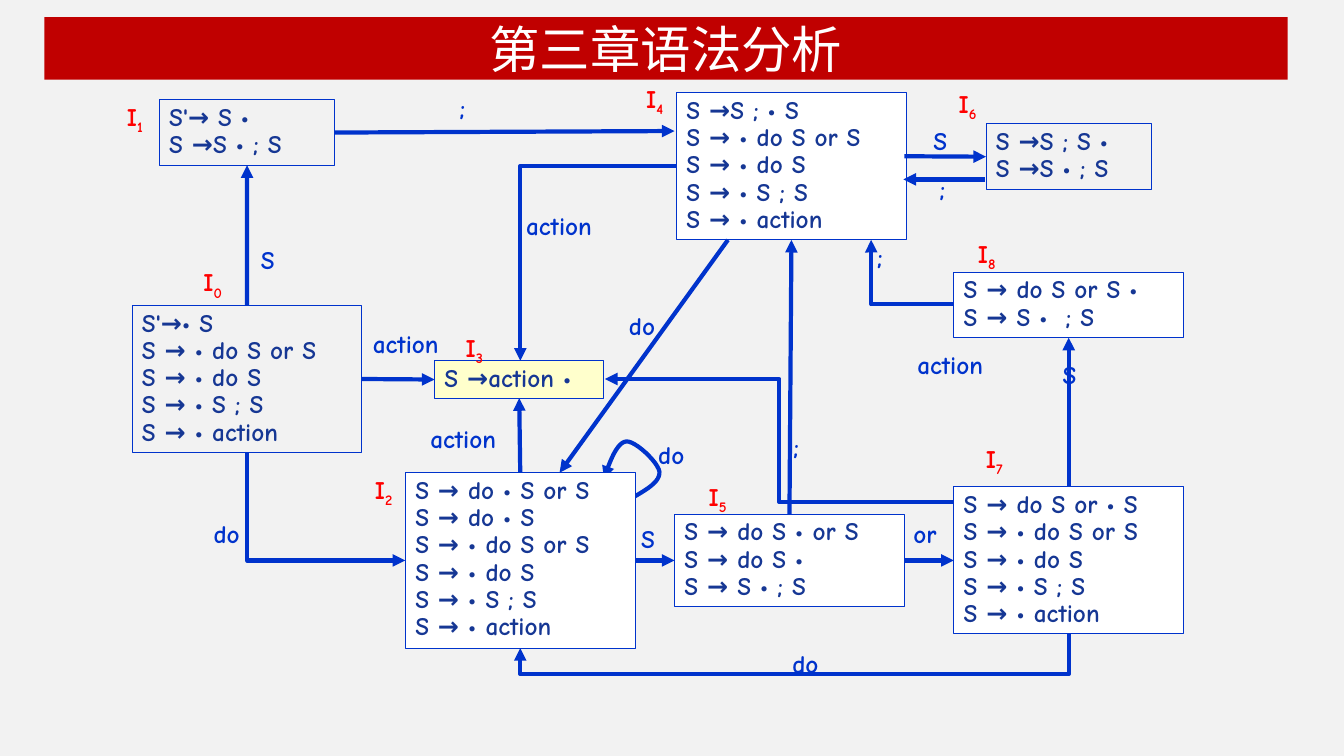
"""Builds the slide with the LR(0) automaton of the do/or grammar."""
from dataclasses import dataclass

from lxml.etree import SubElement
from pptx import Presentation
from pptx.dml.color import RGBColor as Rgb
from pptx.enum.shapes import MSO_CONNECTOR as Link, MSO_SHAPE as Preset
from pptx.enum.text import MSO_ANCHOR as Anchor, MSO_AUTO_SIZE as Fit, PP_ALIGN as Align
from pptx.oxml.ns import qn
from pptx.util import Inches, Pt

TOP, LEFT, BOTTOM, RIGHT = range(4)


@dataclass(frozen=True)
class Theme:
    backdrop: str = "F2F2F2"
    banner: str = "C00000"
    white: str = "FFFFFF"
    final: str = "FFFFCC"
    arrow: str = "0033CC"
    item: str = "163794"
    state: str = "FF0000"
    title_font: str = "Noto Sans CJK SC"
    body_font: str = "Comic Neue"
    title_size: int = 36
    body_size: int = 18
    arrow_width: float = 3
    border_width: float = 0.75
    line_spacing: float = 0.9


CLOSURE = ["S → • do S or S", "S → • do S", "S → • S ; S", "S → • action"]

STATES = {
    "0": ((1.31, 3.03, 2.28, 1.46), None, (1.92, 2.6), ["S'→• S", *CLOSURE]),
    "1": ((1.58, 0.99, 1.74, 0.65), None, (1.16, 0.96), ["S'→ S •", "S →S • ; S"]),
    "2": ((4.02, 4.69, 2.28, 1.74), "white", (3.62, 4.66),
          ["S → do • S or S", "S → do • S", *CLOSURE]),
    "3": ((4.31, 3.58, 1.68, 0.37), "final", (4.52, 3.25), ["S →action •"]),
    "4": ((6.71, 0.92, 2.28, 1.46), "white", (6.31, 0.78), ["S →S ; • S", *CLOSURE]),
    "5": ((6.69, 5.1, 2.28, 0.92), "white", (6.93, 4.73),
          ["S → do S • or S", "S → do S •", "S → S • ; S"]),
    "6": ((9.78, 1.23, 1.64, 0.65), None, (9.41, 0.83), ["S →S ; S •", "S →S • ; S"]),
    "7": ((9.46, 4.83, 2.28, 1.46), "white", (9.68, 4.35), ["S → do S or • S", *CLOSURE]),
    "8": ((9.46, 2.7, 2.28, 0.65), "white", (9.6, 2.32),
          ["S → do S or S •", "S → S •  ; S"]),
}

JOINED = [
    ("1", BOTTOM, "0", TOP), ("3", LEFT, "0", RIGHT), ("3", BOTTOM, "2", TOP),
    ("5", LEFT, "2", RIGHT), ("7", LEFT, "5", RIGHT), ("8", BOTTOM, "7", TOP),
    ("4", BOTTOM, "5", TOP),
]

ELBOWS = [
    ((5.16, 3.58), (6.71, 1.65), 1, None),
    ((4.02, 5.56), (2.45, 4.49), 2, None),
    ((8.64, 2.38), (9.46, 3.02), 0, 0.001),
    ((6, 3.76), (9.46, 4.98), 0, 0.5),
    ((5.16, 6.43), (10.6, 6.29), 1, -1.83),
]

SYMBOLS = {
    ";": (0.31, [(4.46, 0.9), (7.77, 4.26), (8.6, 2.38), (9.22, 1.7)]),
    "S": (0.38, [(2.49, 2.41), (6.26, 5.18), (9.16, 1.23), (10.44, 3.55)]),
    "do": (0.53, [(2.02, 5.13), (6.43, 4.34), (6.14, 3.06), (7.76, 6.42)]),
    "or": (0.46, [(8.96, 5.13)]),
    "action": (0.93, [(3.6, 3.24), (4.17, 4.18), (5.12, 2.07), (9, 3.45)]),
}

LOOP = [
    [(6.27, 4.94), (6.41, 4.86), (6.55, 4.78), (6.54, 4.68)],
    [(6.54, 4.68), (6.53, 4.59), (6.3, 4.37), (6.21, 4.38)],
    [(6.21, 4.38), (6.12, 4.39), (6.05, 4.57), (5.99, 4.75)],
]


def bezier(points, t):
    weights = ((1 - t) ** 3, 3 * t * (1 - t) ** 2, 3 * t * t * (1 - t), t ** 3)
    return tuple(Inches(sum(w * p[axis] for w, p in zip(weights, points))) for axis in (0, 1))


class AutomatonSlide:
    def __init__(self, slide, theme):
        self.slide, self.shapes, self.theme = slide, slide.shapes, theme
        slide.background.fill.solid()
        slide.background.fill.fore_color.rgb = Rgb.from_string(theme.backdrop)

    def add_text(self, paragraph, text, color, size, font, bold=False):
        run = paragraph.add_run()
        run.text = text
        run.font.size, run.font.bold, run.font.name = Pt(size), bold, font
        run.font.color.rgb = Rgb.from_string(color)
        SubElement(run.font._element, qn("a:ea")).set("typeface", font)
        return run

    def title(self, text, frame):
        banner = self.shapes.title
        banner.left, banner.top, banner.width, banner.height = map(Inches, frame)
        banner.fill.solid()
        banner.fill.fore_color.rgb = Rgb.from_string(self.theme.banner)
        banner.text_frame.vertical_anchor = Anchor.MIDDLE
        heading = banner.text_frame.paragraphs[0]
        heading.alignment = Align.CENTER
        self.add_text(heading, text, self.theme.white, self.theme.title_size,
                      self.theme.title_font)

    def body(self, holder, lines, color):
        frame = holder.text_frame
        frame.word_wrap, frame.auto_size = False, Fit.SHAPE_TO_FIT_TEXT
        frame.vertical_anchor = Anchor.TOP
        for number, line in enumerate(lines):
            paragraph = frame.add_paragraph() if number else frame.paragraphs[0]
            paragraph.alignment = Align.LEFT
            paragraph.line_spacing = self.theme.line_spacing
            self.add_text(paragraph, line, color, self.theme.body_size,
                          self.theme.body_font, True)
        return paragraph

    def label(self, text, position, width, color):
        holder = self.shapes.add_textbox(*map(Inches, (*position, width, 0.37)))
        return self.body(holder, [text], color)

    def state_name(self, number, position):
        name = self.label("I", position, 0.44, self.theme.state)
        index = self.add_text(name, number, self.theme.state, self.theme.body_size,
                              self.theme.body_font, True)
        index.font._element.set("baseline", "-25000")

    def state(self, frame, fill, items):
        box = self.shapes.add_shape(Preset.RECTANGLE, *map(Inches, frame))
        box.shadow.inherit = False
        if fill:
            box.fill.solid()
            box.fill.fore_color.rgb = Rgb.from_string(getattr(self.theme, fill))
        else:
            box.fill.background()
        self.stroke(box, self.theme.border_width)
        self.body(box, items, self.theme.item)
        return box

    def stroke(self, shape, width, arrow_end=None):
        shape.line.color.rgb = Rgb.from_string(self.theme.arrow)
        shape.line.width = Pt(width)
        if arrow_end:
            outline = shape._element.spPr.find(qn("a:ln"))
            SubElement(outline, qn(arrow_end)).set("type", "triangle")

    def arrow(self, target, source, kind=Link.STRAIGHT):
        link = self.shapes.add_connector(kind, *map(Inches, (*target, *source)))
        self.stroke(link, self.theme.arrow_width, "a:headEnd")
        SubElement(link._element.spPr, qn("a:effectLst"))
        return link

    def joined_arrow(self, target, target_side, source, source_side):
        link = self.arrow((0, 0), (1, 1))
        link.begin_connect(target, target_side)
        link.end_connect(source, source_side)

    def elbow(self, target, source, turns, bend):
        middle = [(a + b) / 2 for a, b in zip(target, source)]
        dx, dy = target[0] - middle[0], target[1] - middle[1]
        for _ in range(turns):
            dx, dy = dy, -dx
        link = self.arrow((middle[0] + dx, middle[1] + dy),
                          (middle[0] - dx, middle[1] - dy), Link.ELBOW)
        properties = link._element.spPr
        properties.find(qn("a:xfrm")).set("rot", str(turns * 5400000))
        geometry = properties.find(qn("a:prstGeom"))
        if bend is None:
            geometry.set("prst", "bentConnector2")
        else:
            guide = SubElement(geometry.find(qn("a:avLst")), qn("a:gd"))
            guide.set("name", "adj1")
            guide.set("fmla", f"val {round(bend * 100000)}")

    def loop(self, curves, steps=12):
        points = [bezier(curve, step / steps) for curve in curves for step in range(1, steps + 1)]
        builder = self.shapes.build_freeform(*bezier(curves[0], 0))
        builder.add_line_segments(points, close=False)
        outline = builder.convert_to_shape()
        outline.shadow.inherit = False
        outline.fill.background()
        self.stroke(outline, self.theme.arrow_width, "a:tailEnd")


def main():
    deck = Presentation()
    deck.slide_width, deck.slide_height = Inches(13.33), Inches(7.5)
    theme = Theme()
    page = AutomatonSlide(deck.slides.add_slide(deck.slide_layouts[5]), theme)
    page.title("第三章语法分析", (0.44, 0.17, 12.33, 0.62))
    page.loop(LOOP)
    boxes = {number: page.state(frame, fill, items)
             for number, (frame, fill, _, items) in STATES.items()}
    for number, (_, _, position, _) in STATES.items():
        page.state_name(number, position)
    for symbol, (width, positions) in SYMBOLS.items():
        for position in positions:
            page.label(symbol, position, width, theme.arrow)
    for target, target_side, source, source_side in JOINED:
        page.joined_arrow(boxes[target], target_side, boxes[source], source_side)
    page.arrow((5.55, 4.69), (7.22, 2.38))
    page.arrow((9.78, 1.55), (8.97, 1.55)).begin_connect(boxes["6"], LEFT)
    page.arrow((8.96, 1.78), (9.77, 1.78))
    page.arrow((6.69, 1.3), (3.32, 1.32)).end_connect(boxes["1"], RIGHT)
    for elbow in ELBOWS:
        page.elbow(*elbow)
    deck.save("out.pptx")


if __name__ == "__main__":
    main()
